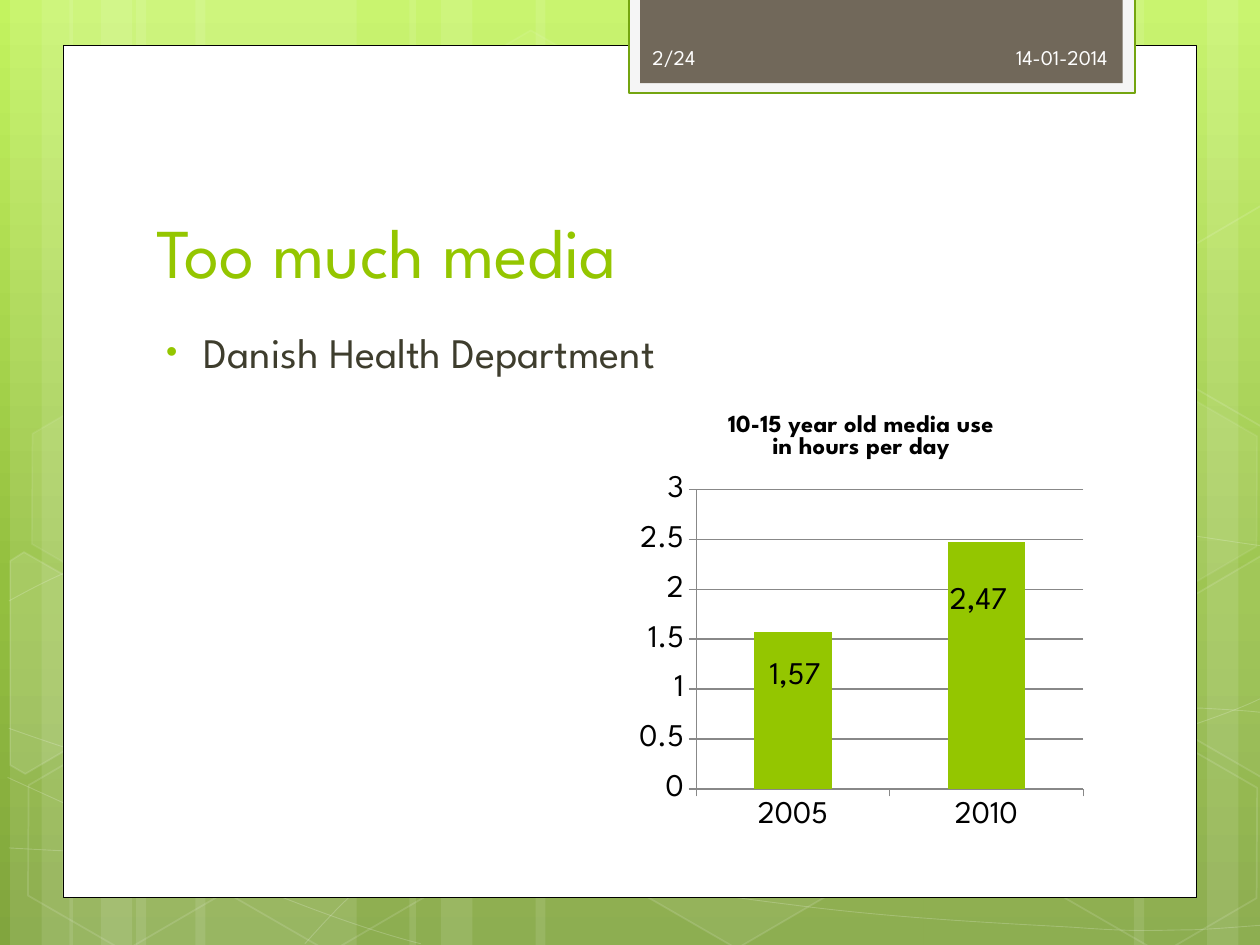
from copy import deepcopy
from math import cos, radians, sin
from typing import NamedTuple, Optional

from lxml import etree
from pptx import Presentation
from pptx.chart.data import CategoryChartData
from pptx.dml.color import RGBColor
from pptx.enum.chart import XL_CHART_TYPE, XL_TICK_MARK
from pptx.enum.shapes import MSO_SHAPE
from pptx.enum.text import MSO_ANCHOR, MSO_AUTO_SIZE, PP_ALIGN
from pptx.oxml.ns import qn
from pptx.util import Inches, Pt

RECT, HEXAGON = MSO_SHAPE.RECTANGLE, MSO_SHAPE.HEXAGON
TOP, MIDDLE, BOTTOM = MSO_ANCHOR.TOP, MSO_ANCHOR.MIDDLE, MSO_ANCHOR.BOTTOM
LEFT, RIGHT = PP_ALIGN.LEFT, PP_ALIGN.RIGHT
COLUMNS, TICK_OUT = XL_CHART_TYPE.COLUMN_CLUSTERED, XL_TICK_MARK.OUTSIDE

FONT = "League Spartan"
TILT = 30
WHITE = RGBColor(0xFF, 0xFF, 0xFF)
BLACK = RGBColor(0, 0, 0)
GREEN = RGBColor(0x94, 0xC6, 0x00)
FRAME_GREEN = RGBColor(0x74, 0xA5, 0x10)
BROWN = RGBColor(0x71, 0x68, 0x5A)
PALE = RGBColor(0xF5, 0xF5, 0xF5)
BODY = RGBColor(0x3E, 0x3D, 0x2D)
OFF_WHITE = RGBColor(0xFE, 0xFE, 0xFE)
AXIS_GREY = RGBColor(0x88, 0x88, 0x88)
GRADIENT = [(0, RGBColor(0xC3, 0xF3, 0x5F)), (0.62, RGBColor(0x93, 0xBF, 0x3F)),
            (1, RGBColor(0x81, 0xA5, 0x3E))]


class Hexagon(NamedTuple):
    left: float
    top: float
    fill_alpha: int
    line_alpha: int


class CutHexagon(NamedTuple):
    center: tuple
    points: list
    fill_alpha: int


class Label(NamedTuple):
    text: str
    box: tuple
    size: int
    color: RGBColor
    anchor: MSO_ANCHOR = TOP
    align: PP_ALIGN = LEFT
    wrap: bool = True


STREAKS = [(1.08, 1.75), (0.08, 0.5), (0.33, 0.83), (1.55, 1.75), (0.55, 0.5), (0.8, 0.83),
           (7.33, 1.75), (9.58, 0.5), (9, 0.83), (4.25, 3.08), (3.25, 0.5), (3.5, 0.83)]

# Each curve: a start point, then three points per Bezier segment.
CURVES = [
    [(0.07, 6.73), (0.61, 6.76), (1.15, 6.79), (1.9, 6.78), (2.65, 6.77), (3.58, 6.75),
     (4.58, 6.65), (5.58, 6.55), (7, 6.36), (7.92, 6.17), (8.83, 5.98), (9.77, 5.68),
     (10.07, 5.51)],
    [(0.07, 4.77), (0.36, 4.61), (0.65, 4.46), (1.21, 4.31), (1.78, 4.16), (2.59, 3.94),
     (3.47, 3.87), (4.36, 3.8), (5.44, 3.79), (6.54, 3.87), (7.64, 3.95), (9.47, 4.26),
     (10.07, 4.34)],
    [(0.06, 6.17), (1.27, 6.72), (2.47, 7.27), (3.34, 7.49)],
    [(0.07, 5.78), (0.38, 5.89), (0.7, 6), (1.28, 6.16), (1.86, 6.31), (2.73, 6.56),
     (3.57, 6.73), (4.4, 6.9), (5.45, 7.08), (6.28, 7.18), (7.11, 7.29), (8, 7.33),
     (8.53, 7.36), (9.05, 7.4), (9.19, 7.38), (9.45, 7.38), (9.71, 7.37), (9.89, 7.35),
     (10.07, 7.34)],
    [(2.42, 7.49), (2.6, 7.29), (2.78, 7.09), (3.02, 6.91), (3.26, 6.73), (3.6, 6.53),
     (3.88, 6.39), (4.16, 6.25), (4.33, 6.19), (4.7, 6.09), (5.06, 5.99), (5.73, 5.85),
     (6.08, 5.78), (6.44, 5.71), (6.49, 5.71), (6.8, 5.69), (7.11, 5.66), (7.6, 5.63),
     (7.94, 5.62), (8.29, 5.61), (8.86, 5.62), (8.86, 5.62), (8.86, 5.62), (9.53, 5.62),
     (9.53, 5.62), (9.71, 5.63), (9.88, 5.64), (9.97, 5.65), (10.06, 5.66), (10.03, 5.65),
     (10.06, 5.66)],
]

HONEYCOMB = [
    Hexagon(3.34, 0.36, 4, 8),
    Hexagon(4.97, 5.89, 6, 12),
    CutHexagon((0.36, 5.35), [(0.08, 4.45), (0.19, 4.38), (0.96, 4.82), (0.95, 5.7),
                              (0.2, 6.14), (0.08, 6.07)], 10),
    Hexagon(0.11, 5.91, 0, 12),
    Hexagon(0.14, 3.12, 7, 8),
    Hexagon(1.74, 5.92, 0, 12),
    Hexagon(7.53, 4.53, 10, 12),
    Hexagon(8.34, 5.93, 0, 12),
    Hexagon(8.34, 3.14, 7, 8),
    CutHexagon((9.85, 5.2), [(9.26, 4.85), (10.01, 4.41), (10.09, 4.46), (10.09, 6.13),
                             (10.02, 6.17), (9.26, 5.73)], 4),
    CutHexagon((9.85, 2.41), [(9.26, 2.07), (10.01, 1.63), (10.1, 1.68), (10.09, 3.35),
                              (10.02, 3.39), (9.26, 2.95)], 0),
]

TITLE = Label("Too much media", (1.14, 1.12, 7.68, 1.25), 40, GREEN, BOTTOM)
BULLET = Label("Danish Health Department", (1.14, 2.54, 7.41, 3.84), 24, BODY)
LABELS = [
    Label("1,57", (6.01, 5.13, 0.69, 0.4), 18, BLACK, wrap=False),
    Label("2,47", (7.44, 4.54, 0.69, 0.4), 18, BLACK, wrap=False),
    Label("2/24", (5.08, 0.25, 1.46, 0.4), 12, OFF_WHITE, MIDDLE),
    Label("14-01-2014", (6.56, 0.25, 2.33, 0.4), 12, OFF_WHITE, MIDDLE, RIGHT),
]


def style(sp, fill: Optional[RGBColor], line: Optional[RGBColor] = None, width: float = 1,
          fill_alpha: int = 100, line_alpha: int = 100) -> None:
    sp.shadow.inherit = False
    for target, color, alpha in ((sp.fill, fill, fill_alpha), (sp.line.fill, line, line_alpha)):
        if color is None or alpha == 0:
            target.background()
            continue
        target.solid()
        target.fore_color.rgb = color
        if alpha < 100:
            color_xml = target._xPr.find(qn("a:solidFill"))[0]
            etree.SubElement(color_xml, qn("a:alpha"), val=str(alpha * 1000))
    if line is not None:
        sp.line.width = Pt(width)


def add_preset(s, kind, box: tuple):
    return s.shapes.add_shape(kind, *map(Inches, box))


def add_outline(s, points: list, close: bool):
    start, *rest = [(Inches(x), Inches(y)) for x, y in points]
    builder = s.shapes.build_freeform(*start)
    builder.add_line_segments(rest, close=close)
    return builder.convert_to_shape()


def add_curve(s, points: list):
    """Draw an open outline and merge each three line steps into a Bezier segment."""
    sp = add_outline(s, points, False)
    steps = list(sp._element.iter(qn("a:lnTo")))
    for i in range(0, len(steps), 3):
        steps[i].tag = qn("a:cubicBezTo")
        for step in steps[i + 1:i + 3]:
            steps[i].append(step[0])
            step.getparent().remove(step)
    return sp


def turn_back(points: list, center: tuple) -> list:
    """Undo the tilt of the points about the center."""
    c, d = cos(radians(TILT)), sin(radians(TILT))
    cx, cy = center
    return [(cx + (x - cx) * c + (y - cy) * d, cy - (x - cx) * d + (y - cy) * c)
            for x, y in points]


def add_label(s, label: Label):
    box = s.shapes.add_textbox(*map(Inches, label.box))
    tf = box.text_frame
    tf.text = label.text
    tf.word_wrap = label.wrap
    tf.auto_size = MSO_AUTO_SIZE.NONE if label.wrap else MSO_AUTO_SIZE.SHAPE_TO_FIT_TEXT
    tf.vertical_anchor = label.anchor
    p = tf.paragraphs[0]
    p.alignment = label.align
    font = p.runs[0].font
    font.name, font.size, font.color.rgb = FONT, Pt(label.size), label.color
    return p


def add_bullet(p) -> None:
    pPr = p._p.get_or_add_pPr()
    pPr.set("marL", str(Inches(0.38)))
    pPr.set("indent", str(Inches(-0.3)))
    before = etree.SubElement(pPr, qn("a:spcBef"))
    etree.SubElement(before, qn("a:spcPct"), val="20000")
    color = etree.SubElement(pPr, qn("a:buClr"))
    etree.SubElement(color, qn("a:srgbClr"), val=str(GREEN))
    etree.SubElement(pPr, qn("a:buSzPct"), val="76000")
    etree.SubElement(pPr, qn("a:buFont"), typeface="Arial")
    etree.SubElement(pPr, qn("a:buChar"), char="•")


def add_background(s) -> None:
    fill = s.background.fill
    fill.gradient()
    fill.gradient_angle = 270
    stop_list = s._element.find(".//" + qn("a:gsLst"))
    stop_list.insert(1, deepcopy(stop_list[0]))
    for stop, (position, color) in zip(fill.gradient_stops, GRADIENT):
        stop.position, stop.color.rgb = position, color
    for left, width in STREAKS:
        style(add_preset(s, RECT, (left, 0, width, 7.5)), WHITE, fill_alpha=10)
    for curve in CURVES:
        style(add_curve(s, curve), None, WHITE, 0.5, line_alpha=20)
    for cell in HONEYCOMB:
        if isinstance(cell, Hexagon):
            sp = add_preset(s, HEXAGON, (cell.left, cell.top, 1.75, 1.52))
            sp.adjustments[0], sp.adjustments[1] = 0.285, 1.155
            style(sp, WHITE, WHITE, 1, cell.fill_alpha, cell.line_alpha)
        else:
            sp = add_outline(s, turn_back(cell.points, cell.center), True)
            style(sp, WHITE, WHITE, 1, cell.fill_alpha, 12)
        sp.rotation = TILT


def add_media_chart(s) -> None:
    data = CategoryChartData()
    data.categories = ["2005", "2010"]
    data.add_series("Series 1", (1.57, 2.47))
    box = map(Inches, (5, 3.12, 3.67, 3.54))
    chart = s.shapes.add_chart(COLUMNS, *box, data).chart
    chart.font.name, chart.font.size, chart.font.color.rgb = FONT, Pt(18), BLACK
    chart.has_legend = False
    p = chart.chart_title.text_frame.paragraphs[0]
    p.text = "10-15 year old media use\vin hours per day"
    for r in p.runs:
        r.font.name, r.font.size, r.font.bold = FONT, Pt(14), True
        r.font.color.rgb = BLACK
    plot = chart.plots[0]
    plot.gap_width, plot.vary_by_categories = 150, False
    bar_fill = plot.series[0].format.fill
    bar_fill.solid()
    bar_fill.fore_color.rgb = GREEN
    values = chart.value_axis
    values.has_major_gridlines = True
    for axis in (chart.category_axis, values):
        axis.major_tick_mark = TICK_OUT
        axis.format.line.color.rgb = AXIS_GREY
    values.major_gridlines.format.line.color.rgb = AXIS_GREY


def main() -> None:
    prs = Presentation()
    prs.slide_width, prs.slide_height = Inches(10), Inches(7.5)
    s = prs.slides.add_slide(prs.slide_layouts[6])
    add_background(s)
    style(add_preset(s, RECT, (0.5, 0.36, 9, 6.76)), WHITE, BLACK, 0.5)
    style(add_preset(s, RECT, (4.99, -0.02, 4.02, 0.76)), PALE, FRAME_GREEN, 1.25)
    style(add_preset(s, RECT, (5.08, -0.02, 3.83, 0.68)), BROWN)
    add_label(s, TITLE)
    add_bullet(add_label(s, BULLET))
    add_media_chart(s)
    for label in LABELS:
        add_label(s, label)
    prs.save("out.pptx")


if __name__ == "__main__":
    main()
